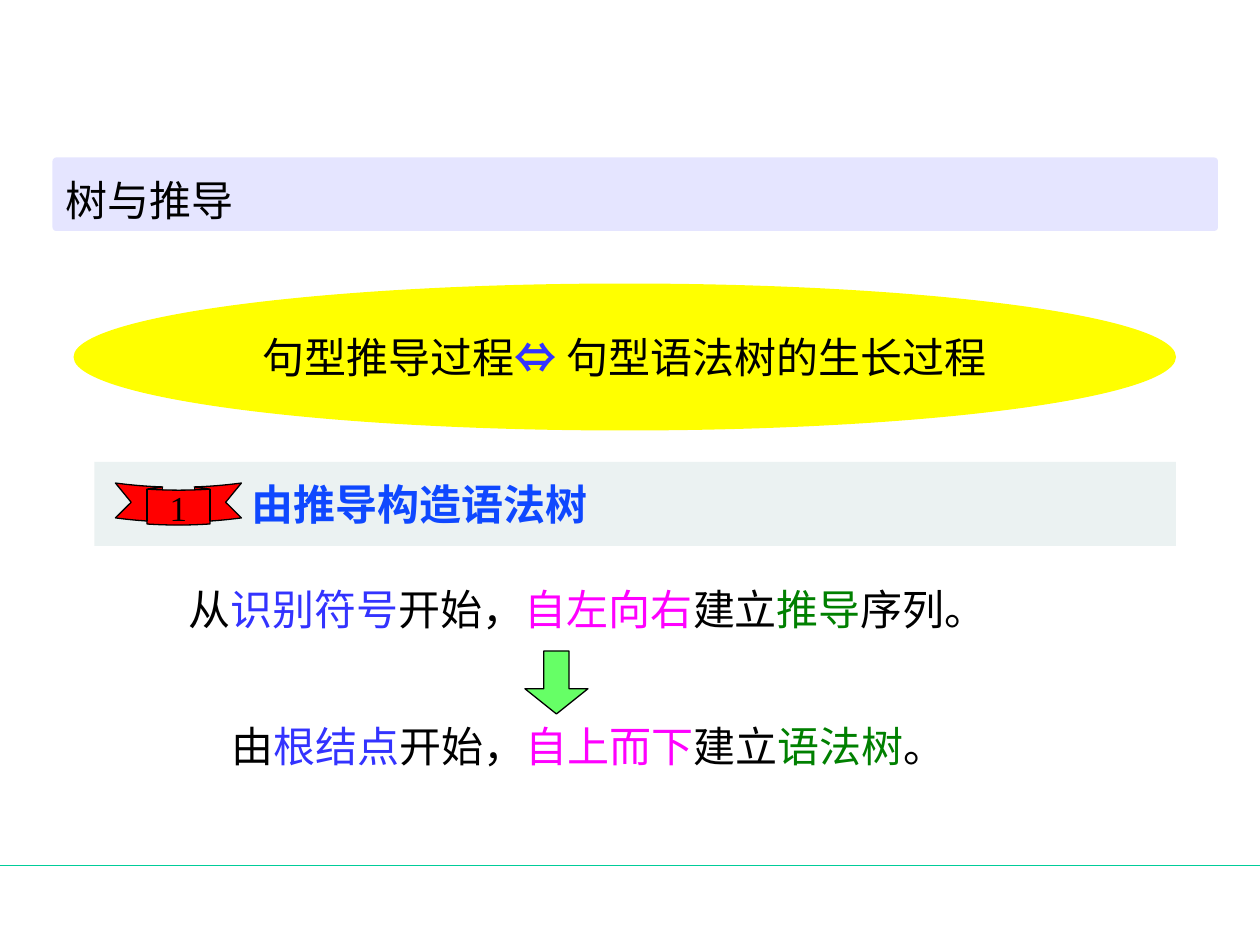
"""Build the slide on syntax trees and derivations."""
from lxml import etree
from pptx import Presentation
from pptx.dml.color import RGBColor
from pptx.enum.shapes import MSO_CONNECTOR, MSO_SHAPE
from pptx.enum.text import MSO_ANCHOR, PP_ALIGN
from pptx.oxml.ns import qn
from pptx.util import Inches, Pt

ROUNDED, OVAL, RECT = MSO_SHAPE.ROUNDED_RECTANGLE, MSO_SHAPE.OVAL, MSO_SHAPE.RECTANGLE
RIBBON, DOWN_ARROW = MSO_SHAPE.CURVED_DOWN_RIBBON, MSO_SHAPE.DOWN_ARROW
LEFT, CENTER = PP_ALIGN.LEFT, PP_ALIGN.CENTER
TOP, MIDDLE = MSO_ANCHOR.TOP, MSO_ANCHOR.MIDDLE

BLACK = RGBColor(0x00, 0x00, 0x00)
BLUE = RGBColor(0x33, 0x33, 0xFF)
HEADING = RGBColor(0x0F, 0x48, 0xFF)
MAGENTA = RGBColor(0xFF, 0x00, 0xFF)
DARK_GREEN = RGBColor(0x00, 0x80, 0x00)
LIGHT_GREEN = RGBColor(0x66, 0xFF, 0x66)
LAVENDER = RGBColor(0xCC, 0xCC, 0xFF)
YELLOW = RGBColor(0xFF, 0xFF, 0x00)
MIST = RGBColor(0xD9, 0xE6, 0xE6)
RED = RGBColor(0xFF, 0x00, 0x00)
TEAL = RGBColor(0x00, 0xCC, 0x99)

FONT, SYMBOL_FONT = "Times New Roman", "Arial"
COLUMNS, ROWS = 120, 90
FOOTER_ROW = 82.4

TITLE = [("树与推导", BLACK)]
EQUIVALENCE = [("句型推导过程", BLACK), ("⇔ ", BLUE, SYMBOL_FONT, True),
               ("句型语法树的生长过程", BLACK)]
SECTION = [("由推导构造语法树", HEADING, FONT, True)]
NUMBER = [("1", BLACK)]
STEPS = [
    ((8, 55, 96, 6),
     [("从", BLACK), ("识别符号", BLUE), ("开始，", BLACK), ("自左向右", MAGENTA),
      ("建立", BLACK), ("推导", DARK_GREEN), ("序列。", BLACK)]),
    ((7, 68, 98, 6),
     [("由", BLACK), ("根结点", BLUE), ("开始，", BLACK), ("自上而下", MAGENTA),
      ("建立", BLACK), ("语法树", DARK_GREEN), ("。", BLACK)]),
]
SHAPES = [
    (ROUNDED, (5, 15, 111, 7), dict(fill=LAVENDER, alpha=50, adj=[0.05]),
     TITLE, dict(spacing=1.2)),
    (OVAL, (7, 27, 105, 14), dict(fill=YELLOW), EQUIVALENCE, dict(align=CENTER)),
    (RECT, (9, 44, 103, 8), dict(fill=MIST, alpha=50), SECTION, dict(inset=1.25)),
    (RIBBON, (11, 46, 12, 4), dict(fill=RED, outlined=True, adj=[0.17, 0.5, 0.1]),
     NUMBER, dict(align=CENTER, size=20)),
    (DOWN_ARROW, (50, 62, 6, 6), dict(fill=LIGHT_GREEN, outlined=True, adj=[0.4, 0.4]),
     [], {}),
]

prs = Presentation()
prs.slide_width, prs.slide_height = Inches(10), Inches(7.5)
s = prs.slides.add_slide(prs.slide_layouts[6])


def place(cell):
    """Turn grid columns and rows into slide lengths."""
    col, row, width, height = cell
    dx, dy = prs.slide_width / COLUMNS, prs.slide_height / ROWS
    return [round(v) for v in (col * dx, row * dy, width * dx, height * dy)]


def write(sp, runs, align=LEFT, anchor=MIDDLE, size=24, spacing=None, inset=0.1, wrap=False):
    """Fill a shape with one paragraph of coloured runs."""
    tf = sp.text_frame
    tf.word_wrap, tf.vertical_anchor = wrap, anchor
    tf.margin_left = Inches(inset)
    p = tf.paragraphs[0]
    p.alignment, p.line_spacing = align, spacing
    for text, color, font, bold in ((*run, FONT, False)[:4] if len(run) == 2 else run
                                    for run in runs):
        r = p.add_run()
        r.text = text
        r.font.name, r.font.size, r.font.bold = font, Pt(size), bold
        r.font.color.rgb = color


def add_shape(kind, cell, fill, alpha=100, outlined=False, adj=()):
    """Add a filled preset shape on the grid."""
    sp = s.shapes.add_shape(kind, *place(cell))
    sp.shadow.inherit = False
    for i, value in enumerate(adj):
        sp.adjustments[i] = value
    sp.fill.solid()
    sp.fill.fore_color.rgb = fill
    if alpha < 100:
        color = sp._element.spPr.find(qn("a:solidFill"))[0]
        etree.SubElement(color, qn("a:alpha"), val=str(alpha * 1000))
    if outlined:
        sp.line.color.rgb, sp.line.width = BLACK, Pt(0.75)
    else:
        sp.line.fill.background()
    return sp


left, y, width, _ = place((0, FOOTER_ROW, COLUMNS, 0))
rule = s.shapes.add_connector(MSO_CONNECTOR.STRAIGHT, left, y, width, y)
rule.line.color.rgb, rule.line.width = TEAL, Pt(0.75)
etree.SubElement(rule._element.spPr, qn("a:effectLst"))

for kind, cell, look, runs, text_format in SHAPES:
    sp = add_shape(kind, cell, **look)
    if runs:
        write(sp, runs, **text_format)

for cell, runs in STEPS:
    write(s.shapes.add_textbox(*place(cell)), runs, align=CENTER, anchor=TOP, wrap=True)

prs.save("out.pptx")
